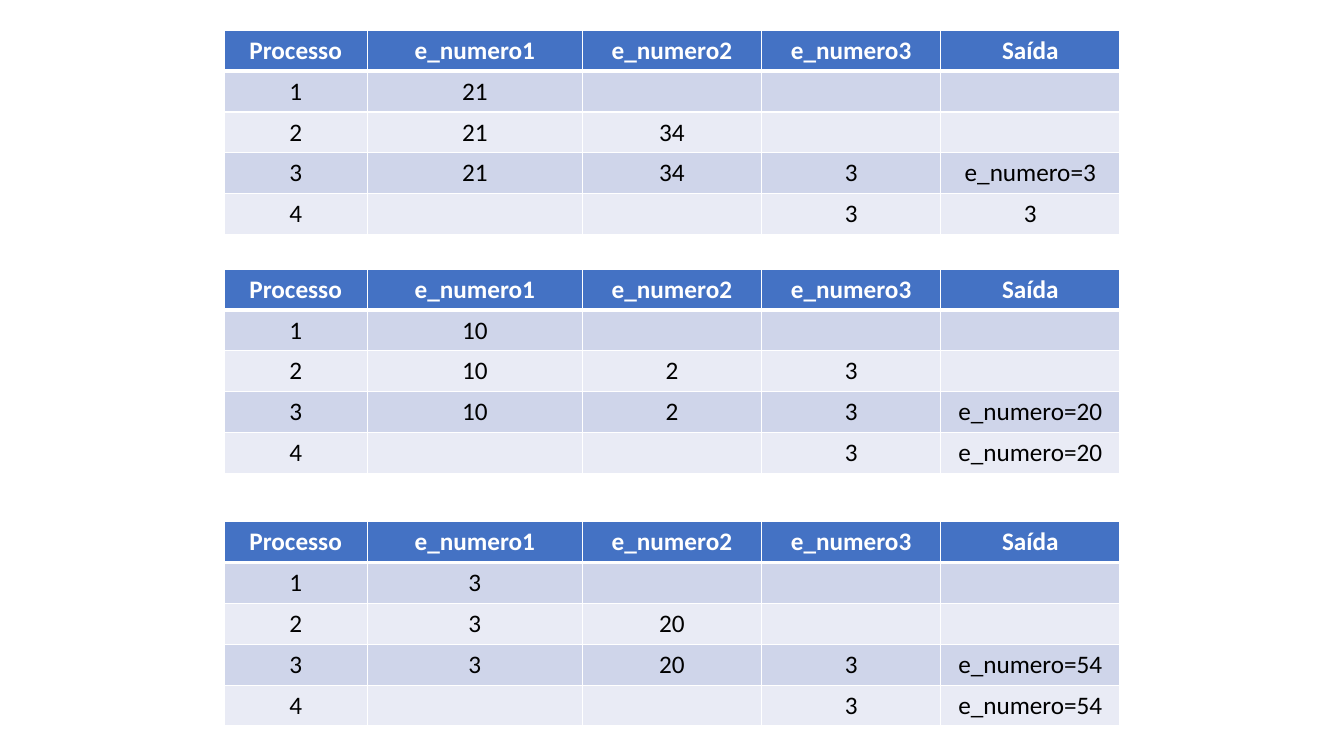
import pptx
import pptx.dml.color
import pptx.enum.text
import pptx.oxml.ns
import pptx.util
from lxml import etree

WHITE = pptx.dml.color.RGBColor(0xFF, 0xFF, 0xFF)
BLACK = pptx.dml.color.RGBColor(0x00, 0x00, 0x00)
HEADER_BLUE = pptx.dml.color.RGBColor(0x44, 0x72, 0xC4)
BAND_DARK = pptx.dml.color.RGBColor(0xCF, 0xD5, 0xEA)
BAND_LIGHT = pptx.dml.color.RGBColor(0xE9, 0xEB, 0xF5)

PAGE_WIDTH = pptx.util.Inches(13.33)
PAGE_HEIGHT = pptx.util.Inches(7.5)
TABLE_LEFT = PAGE_WIDTH / 6
COLUMN_SHARES = (4, 6, 5, 5, 5)
COLUMN_UNIT = PAGE_WIDTH * 2 / 3 / sum(COLUMN_SHARES)
ROW_HEIGHT = PAGE_HEIGHT * 0.0541

HEADER = ("Processo", "e_numero1", "e_numero2", "e_numero3", "Saída")
TRACES = (
    (0.04, (
        ("1", "21", "", "", ""),
        ("2", "21", "34", "", ""),
        ("3", "21", "34", "3", "e_numero=3"),
        ("4", "", "", "3", "3"),
    )),
    (0.356, (
        ("1", "10", "", "", ""),
        ("2", "10", "2", "3", ""),
        ("3", "10", "2", "3", "e_numero=20"),
        ("4", "", "", "3", "e_numero=20"),
    )),
    (0.69, (
        ("1", "3", "", "", ""),
        ("2", "3", "20", "", ""),
        ("3", "3", "20", "3", "e_numero=54"),
        ("4", "", "", "3", "e_numero=54"),
    )),
)


def add_borders(cell, top, bottom):
    """Draw white borders round a cell, with the top and bottom widths in points."""
    properties = cell._tc.get_or_add_tcPr()
    for side, width in (("L", 1), ("R", 1), ("T", top), ("B", bottom)):
        line = etree.SubElement(
            properties, pptx.oxml.ns.qn(f"a:ln{side}"), w=str(pptx.util.Pt(width))
        )
        fill = etree.SubElement(line, pptx.oxml.ns.qn("a:solidFill"))
        etree.SubElement(fill, pptx.oxml.ns.qn("a:srgbClr"), val=str(WHITE))


def fill_cell(cell, text, row):
    """Write and format one cell by the row it stands in."""
    is_header = row == 0
    add_borders(cell, 3 if row == 1 else 1, 3 if is_header else 1)
    cell.fill.solid()
    band = BAND_DARK if row % 2 else BAND_LIGHT
    cell.fill.fore_color.rgb = HEADER_BLUE if is_header else band
    cell.text = text
    para = cell.text_frame.paragraphs[0]
    para.alignment = pptx.enum.text.PP_ALIGN.CENTER
    para.font.name = "Calibri"
    para.font.size = pptx.util.Pt(18)
    para.font.bold = is_header
    para.font.color.rgb = WHITE if is_header else BLACK


def add_trace_table(page, top_share, body):
    """Add a table of process steps at a share of the page height."""
    rows = (HEADER, *body)
    table = page.shapes.add_table(
        len(rows), len(HEADER),
        int(TABLE_LEFT), int(PAGE_HEIGHT * top_share),
        int(COLUMN_UNIT * sum(COLUMN_SHARES)), int(ROW_HEIGHT * len(rows)),
    ).table
    for column, share in zip(table.columns, COLUMN_SHARES):
        column.width = int(COLUMN_UNIT * share)
    for row, texts in enumerate(rows):
        table.rows[row].height = int(ROW_HEIGHT)
        for column, text in enumerate(texts):
            fill_cell(table.cell(row, column), text, row)


def main():
    """Build the page with its three tables and save it."""
    deck = pptx.Presentation()
    deck.slide_width = PAGE_WIDTH
    deck.slide_height = PAGE_HEIGHT
    page = deck.slides.add_slide(deck.slide_layouts[6])
    for top_share, body in TRACES:
        add_trace_table(page, top_share, body)
    deck.save("out.pptx")


if __name__ == "__main__":
    main()
